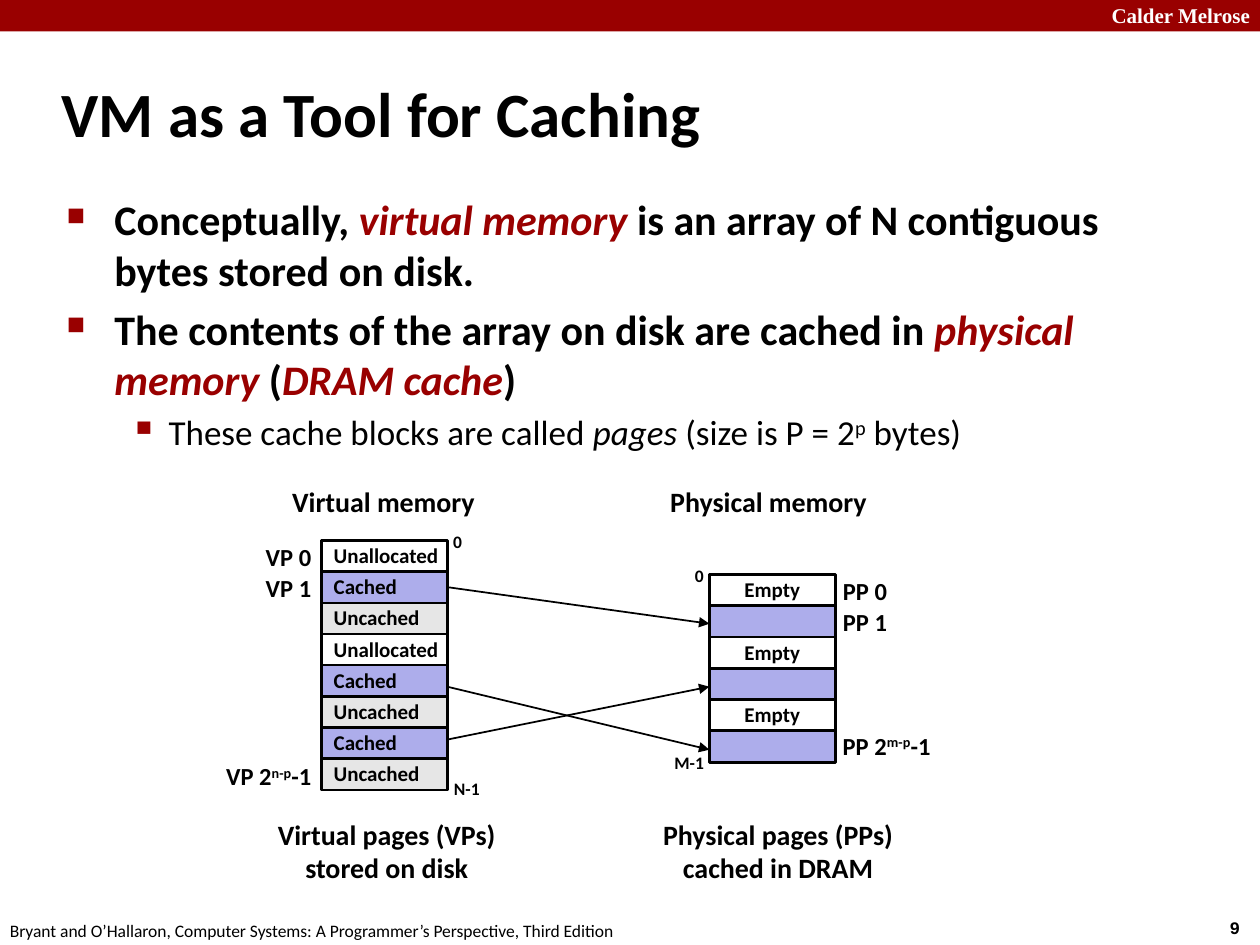
from dataclasses import dataclass
from lxml.etree import SubElement
from pptx import Presentation
from pptx.dml.color import RGBColor
from pptx.enum.shapes import MSO_CONNECTOR, MSO_SHAPE
from pptx.enum.text import MSO_ANCHOR, MSO_AUTO_SIZE, PP_ALIGN
from pptx.oxml.ns import qn
from pptx.util import Inches, Pt


@dataclass(frozen=True)
class Theme:
    font: str = "Calibri"
    brand_font: str = "Times New Roman"
    number_font: str = "Courier New"
    ink: str = "000000"
    paper: str = "FFFFFF"
    accent: str = "990000"
    cached: str = "ADADEB"
    uncached: str = "E6E6E6"
    title: int = 36
    body: int = 24
    sub: int = 20
    caption: int = 16
    label: int = 14
    cell: int = 12
    small: int = 10


LEFT, CENTER, RIGHT = PP_ALIGN.LEFT, PP_ALIGN.CENTER, PP_ALIGN.RIGHT
TOP, MIDDLE = MSO_ANCHOR.TOP, MSO_ANCHOR.MIDDLE


class Deck:
    def __init__(self, slide, theme):
        self.s, self.t = slide, theme

    def rgb(self, color):
        return RGBColor.from_string(color)

    def runs(self, p, parts, size, bold=True, font=None, color=None):
        """Each part is plain text or (text, marks): a accent, i italic, ^ superscript."""
        for part in [parts] if isinstance(parts, str) else parts:
            text, marks = (part, "") if isinstance(part, str) else part
            r = p.add_run()
            r.text = text
            f = r.font
            f.name, f.size, f.bold = font or self.t.font, Pt(size), bold
            f.italic = "i" in marks
            f.color.rgb = self.rgb(self.t.accent if "a" in marks else color or self.t.ink)
            if "^" in marks:
                r._r.get_or_add_rPr().set("baseline", "30000")

    def title(self, at, text):
        sp = self.s.shapes.title
        sp.left, sp.top, sp.width, sp.height = map(Inches, at)
        tf = sp.text_frame
        tf.auto_size, tf.vertical_anchor = MSO_AUTO_SIZE.NONE, MIDDLE
        p = tf.paragraphs[0]
        p.alignment = LEFT
        self.runs(p, text, self.t.title)

    def text(self, at, lines, size, align=LEFT, anchor=TOP, spacing=None, before=0, **style):
        sp = self.s.shapes.add_textbox(*map(Inches, at))
        tf = sp.text_frame
        tf.word_wrap, tf.vertical_anchor = False, anchor
        tf.auto_size = MSO_AUTO_SIZE.SHAPE_TO_FIT_TEXT
        for i, line in enumerate(lines):
            p = tf.add_paragraph() if i else tf.paragraphs[0]
            p.alignment, p.line_spacing, p.space_before = align, spacing, Pt(before)
            self.runs(p, line, size, **style)

    def bullets(self, at, items):
        tf = self.s.shapes.add_textbox(*map(Inches, at)).text_frame
        tf.word_wrap = True
        for i, (level, parts) in enumerate(items):
            p = tf.add_paragraph() if i else tf.paragraphs[0]
            size, margin, hang, char, scale = (
                (self.t.sub, 0.81, 0.31, "▪", 110) if level
                else (self.t.body, 0.38, 0.38, "■", 60))
            p.level, p.space_before = level, Pt(size * 0.2)
            pPr = p._p.get_or_add_pPr()
            pPr.set("marL", str(Inches(margin)))
            pPr.set("indent", str(-Inches(hang)))
            clr = SubElement(pPr, qn("a:buClr"))
            SubElement(clr, qn("a:srgbClr"), val=self.t.accent)
            SubElement(pPr, qn("a:buSzPct"), val=str(scale * 1000))
            SubElement(pPr, qn("a:buChar"), char=char)
            self.runs(p, parts, size, bold=not level)

    def box(self, at, fill, text="", align=LEFT, outline=True):
        sp = self.s.shapes.add_shape(MSO_SHAPE.RECTANGLE, *map(Inches, at))
        sp.shadow.inherit = False
        sp.fill.solid()
        sp.fill.fore_color.rgb = self.rgb(fill)
        if outline:
            sp.line.color.rgb, sp.line.width = self.rgb(self.t.ink), Pt(1.5)
        else:
            sp.line.fill.background()
        if text:
            tf = sp.text_frame
            tf.word_wrap, tf.vertical_anchor = False, MIDDLE
            p = tf.paragraphs[0]
            p.alignment, p.line_spacing = align, 0.98
            self.runs(p, text, self.t.cell)

    def column(self, left, first, last, pages, align):
        """Stack page cells evenly from the first top to the last top."""
        fills = {"Cached": self.t.cached, "": self.t.cached, "Uncached": self.t.uncached}
        pitch = (last - first) / (len(pages) - 1)
        for i, page in enumerate(pages):
            self.box((left, first + i * pitch, 1, 0.25), fills.get(page, self.t.paper), page, align)

    def arrow(self, x1, y1, x2, y2):
        c = self.s.shapes.add_connector(MSO_CONNECTOR.STRAIGHT, *map(Inches, (x1, y1, x2, y2)))
        c.line.color.rgb, c.line.width = self.rgb(self.t.ink), Pt(1)
        SubElement(c.line._get_or_add_ln(), qn("a:tailEnd"), type="triangle")
        SubElement(c._element.spPr, qn("a:effectLst"))


prs = Presentation()
prs.slide_width, prs.slide_height = Inches(10), Inches(7.5)
t = Theme()
d = Deck(prs.slides.add_slide(prs.slide_layouts[5]), t)

# Header band and footer
d.box((0, 0, 10, 0.25), t.accent, outline=False)
d.text((8.64, -0.03, 1.38, 0.3), ["Calder Melrose"], t.cell, RIGHT,
       font=t.brand_font, color=t.paper)
d.text((9.66, 7.23, 0.28, 0.27), ["9"], t.small, font=t.number_font)
d.text((-0.02, 7.25, 5.08, 0.27),
       ["Bryant and O’Hallaron, Computer Systems: A Programmer’s Perspective, Third Edition"],
       t.small, bold=False)

# Title and bullets
d.title((0.39, 0.48, 8.3, 0.83), "VM as a Tool for Caching")
d.bullets((0.43, 1.49, 8.64, 2.26), [
    (0, ["Conceptually,", (" virtual memory ", "ai"),
         "is an array of N contiguous bytes stored on disk."]),
    (0, ["The contents of the array on disk are cached in ", ("physical memory", "ai"),
         " (", ("DRAM cache", "ai"), ")"]),
    (1, ["These cache blocks are called ", ("pages ", "i"), "(size is P = 2", ("p", "^"), " bytes)"]),
])

# Memory columns
VIRTUAL_X, PHYSICAL_X = 2.55, 5.63
d.column(VIRTUAL_X, 4.29, 6.02, ["Unallocated", "Cached", "Uncached", "Unallocated",
                                 "Cached", "Uncached", "Cached", "Uncached"], LEFT)
d.column(PHYSICAL_X, 4.56, 5.8, ["Empty", ""] * 3, CENTER)

# Mapping from cached virtual pages to physical pages
for start, end in [(4.66, 4.95), (5.45, 5.95), (5.87, 5.45)]:
    d.arrow(VIRTUAL_X + 1, start, PHYSICAL_X, end)

# Column headings and captions
for at, text in [((2.21, 3.83, 1.67, 0.33), "Virtual memory"),
                 ((5.21, 3.83, 1.78, 0.33), "Physical memory")]:
    d.text(at, [text], t.caption, CENTER, spacing=0.88, before=6)
for at, lines in [((2.09, 6.45, 1.96, 0.63), ["Virtual pages (VPs)", "stored on disk"]),
                  ((5.15, 6.45, 2.05, 0.63), ["Physical pages (PPs)", "cached in DRAM"])]:
    d.text(at, lines, t.caption, CENTER, MIDDLE, 0.98)

# Page labels
for at, parts, align in [
        ((2.01, 4.28, 0.56, 0.31), "VP 0", RIGHT),
        ((2.01, 4.53, 0.56, 0.31), "VP 1", RIGHT),
        ((1.67, 6.02, 0.9, 0.31), ["VP 2", ("n-p", "^"), "-1"], RIGHT),
        ((6.59, 5.78, 0.93, 0.31), ["PP 2", ("m-p", "^"), "-1"], LEFT)]:
    d.text(at, [parts], t.label, align, spacing=0.88, before=6)
for top, text in [(4.53, "PP 0"), (4.78, "PP 1")]:
    d.text((6.59, top, 0.55, 0.33), [text], t.label, CENTER, MIDDLE, 0.98)

# Address labels
for left, top, width, text in [(3.49, 4.17, 0.28, "0"), (3.5, 6.13, 0.41, "N-1"),
                               (5.41, 4.44, 0.28, "0"), (5.25, 5.92, 0.44, "M-1")]:
    d.text((left, top, width, 0.27), [text], t.small, CENTER, MIDDLE, 0.98)

prs.save("out.pptx")
